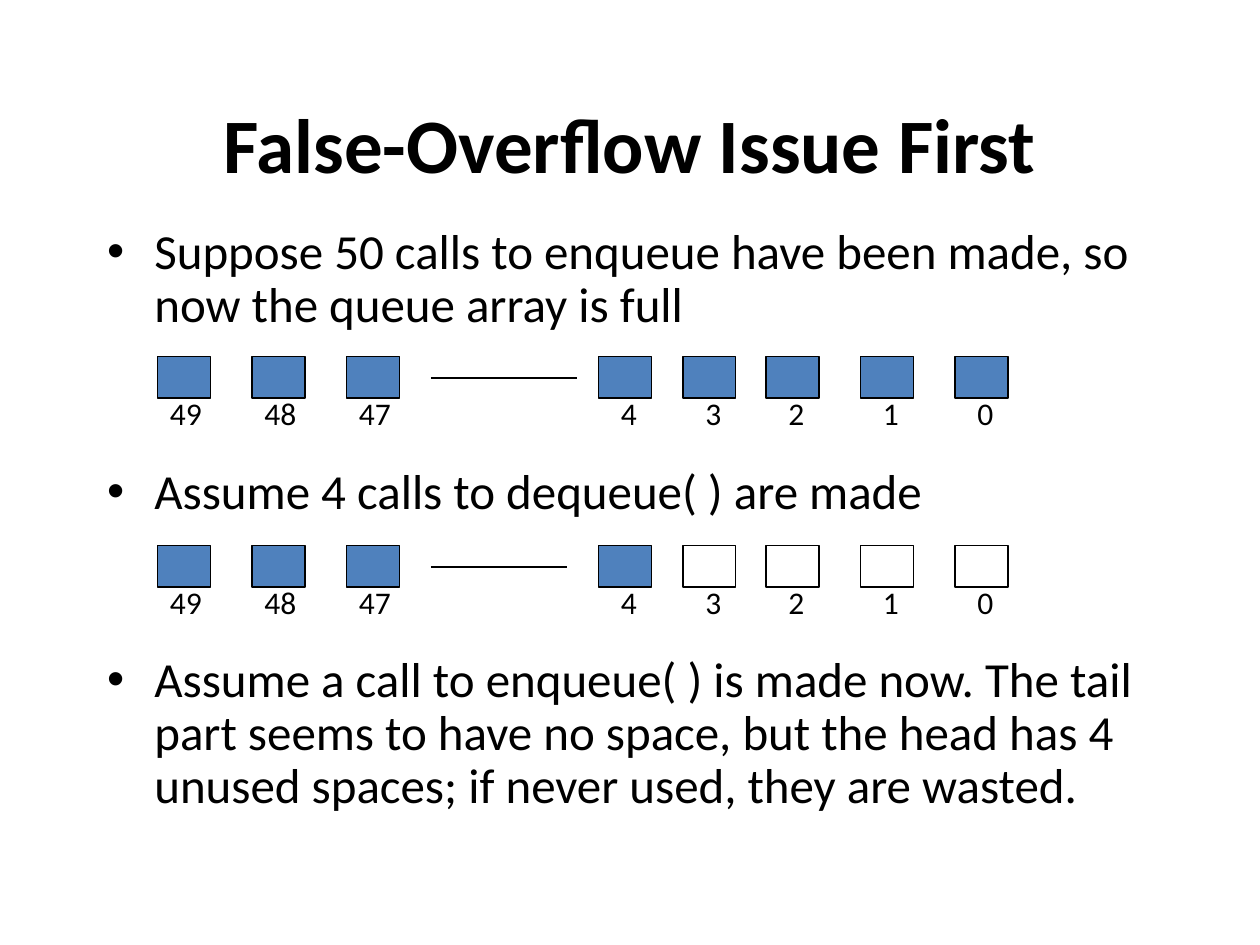
from pptx import Presentation
from pptx.dml.color import RGBColor
from pptx.enum.shapes import MSO_CONNECTOR, MSO_SHAPE
from pptx.enum.text import MSO_ANCHOR, MSO_AUTO_SIZE, PP_ALIGN
from pptx.oxml.ns import qn
from pptx.util import Inches, Pt
from lxml import etree

RECT = MSO_SHAPE.RECTANGLE
STRAIGHT = MSO_CONNECTOR.STRAIGHT
MIDDLE, TOP = MSO_ANCHOR.MIDDLE, MSO_ANCHOR.TOP
CENTER = PP_ALIGN.CENTER
NO_FIT, GROW = MSO_AUTO_SIZE.NONE, MSO_AUTO_SIZE.SHAPE_TO_FIT_TEXT
BLACK, BLUE = "000000", "4F81BD"


def rgb(value):
    return RGBColor.from_string(value)


def set_font(p, size, bold=False):
    p.font.name = "Calibri"
    p.font.size = Pt(size)
    p.font.bold = bold
    p.font.color.rgb = rgb(BLACK)


prs = Presentation()
prs.slide_width, prs.slide_height = Inches(10), Inches(7.5)
s = prs.slides.add_slide(prs.slide_layouts[1])

# Title
title = s.shapes.title
title.left, title.top = Inches(0.75), Inches(0.67)
title.width, title.height = Inches(8.5), Inches(0.92)
tf = title.text_frame
tf.text = "False-Overflow Issue First"
tf.auto_size = NO_FIT
tf.vertical_anchor = MIDDLE
tf.paragraphs[0].alignment = CENTER
set_font(tf.paragraphs[0], 44, bold=True)

# Bullets, spaced to leave room for the queue rows
body = s.placeholders[1]
body.left, body.top = Inches(0.75), Inches(1.75)
body.width, body.height = Inches(8.5), Inches(4.92)
tf = body.text_frame
tf.auto_size = NO_FIT
tf.vertical_anchor = TOP
bullets = [
    "Suppose 50 calls to enqueue have been made, so now the queue array is full",
    "Assume 4 calls to dequeue( ) are made",
    "Assume a call to enqueue( ) is made now. The tail part seems to have no space, "
    "but the head has 4 unused spaces; if never used, they are wasted.",
]
for i, text in enumerate(bullets):
    p = tf.paragraphs[0] if i == 0 else tf.add_paragraph()
    p.text = text
    p.line_spacing = 0.9
    p.space_before = Pt(77 if i else 0)
    set_font(p, 28)

# Queue rows: top, end of the gap line, slots emptied at the head
slots = {49: 1.25, 48: 2, 47: 2.75, 4: 4.75, 3: 5.42, 2: 6.08, 1: 6.83, 0: 7.58}
for top, line_end, emptied in [(2.83, 4.58, 0), (4.33, 4.5, 4)]:
    for index, left in slots.items():
        sp = s.shapes.add_shape(RECT, Inches(left), Inches(top), Inches(0.42), Inches(0.33))
        sp.shadow.inherit = False
        sp.line.color.rgb = rgb(BLACK)
        sp.line.width = Pt(0.75)
        if index < emptied:
            sp.fill.background()
        else:
            sp.fill.solid()
            sp.fill.fore_color.rgb = rgb(BLUE)

        # Index below the slot
        shift, width = (0, 0.58) if index > 9 else (0.08, 0.37)
        label = s.shapes.add_textbox(Inches(left + shift), Inches(top + 0.25),
                                     Inches(width), Inches(0.5))
        tf = label.text_frame
        tf.word_wrap = True
        tf.auto_size = GROW
        tf.text = str(index)
        set_font(tf.paragraphs[0], 18)

    # Line standing for the slots left out
    y = Inches(top + 0.17)
    line = s.shapes.add_connector(STRAIGHT, Inches(3.42), y, Inches(line_end), y)
    line.line.color.rgb = rgb(BLACK)
    line.line.width = Pt(0.75)
    etree.SubElement(line._element.spPr, qn("a:effectLst"))

prs.save("out.pptx")
